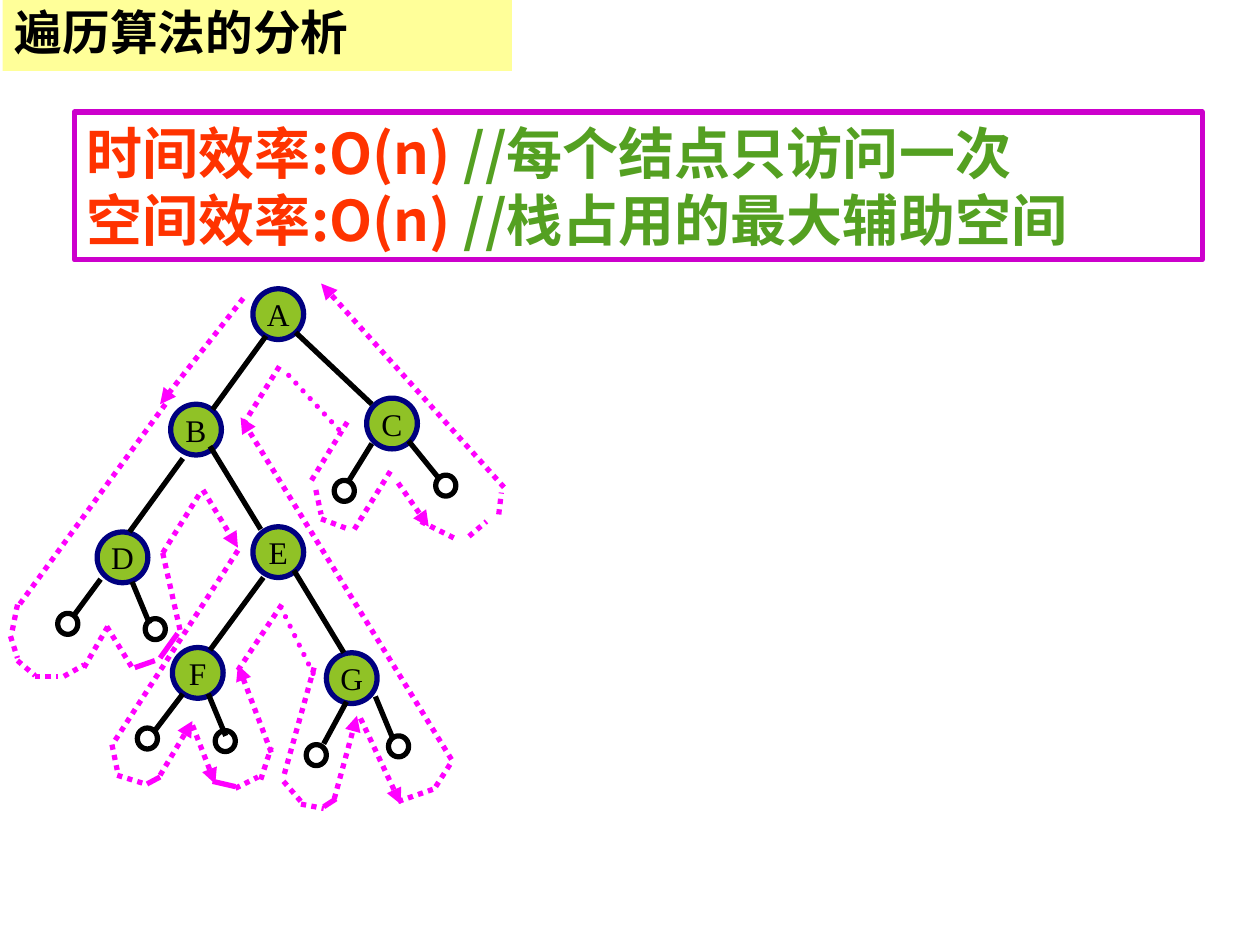
import lxml.etree
import pptx
import pptx.dml.color
import pptx.enum.dml
import pptx.enum.shapes
import pptx.enum.text
import pptx.oxml.ns
import pptx.util

Pt = pptx.util.Pt
qn = pptx.oxml.ns.qn
SHAPE = pptx.enum.shapes.MSO_SHAPE
ALIGN = pptx.enum.text.PP_ALIGN
ANCHOR = pptx.enum.text.MSO_ANCHOR

SANS = "Noto Sans CJK SC"
SERIF = "Times New Roman"
BLACK, NAVY, GREEN, PINK = "000000", "000080", "90C226", "FF00FF"
WIDTH = 3
NODE = (29, 29)
LEAF = (11.5, 12)

NODES = {
    "A": (144.5, 165), "B": (97.5, 231), "C": (209.5, 227.5),
    "D": (55.5, 304), "E": (144.5, 301), "F": (98.5, 370),
    "G": (186.5, 373),
}
LEAVES = [
    (33, 350.5), (83, 353.5), (78.5, 416), (123, 417.5),
    (175, 425.5), (222, 420.5), (191, 274.5), (249, 271.5),
]
# Each line is x1, y1, x2, y2.
EDGES = [
    (152, 192, 121.5, 234), (169, 190, 212.5, 231),
    (104.5, 262, 74, 304), (120, 255, 149, 302.5),
    (150.5, 330, 120, 371.5), (168, 326, 196.5, 373),
    (212.5, 253.5, 199.5, 274.5), (233.5, 252, 250.5, 273),
    (57.5, 331, 42, 352), (75.5, 332.5, 85.5, 356.5),
    (104.5, 396.5, 88.5, 417.5), (119, 396.5, 129, 420.5),
    (198, 401, 185, 425), (214.5, 398, 224.5, 422),
]
# The walk around the tree, grouped by line style.
SOLID = [
    (77, 381.5, 88.5, 377.5), (91.5, 376, 101.5, 362),
    (84, 448, 91.5, 444), (121.5, 446.5, 134.5, 449.5),
    (185, 461, 192, 456.5),
]
ROUND = [(160.5, 347, 179.5, 386), (165, 214.5, 195, 247)]
ARROWS = [
    (139, 170.5, 91.5, 231), (116, 280, 136, 313),
    (91.5, 443, 110, 412), (110, 414.5, 123, 448),
    (155, 430, 136, 380), (191, 456.5, 204, 409),
    (206, 410.5, 229, 459.5), (258, 434, 137.5, 238.5),
    (227.5, 276, 245, 301), (288, 278.5, 183.5, 162),
]
DOTS = [
    (94.5, 231, 10, 347), (10, 345.5, 7, 360.5),
    (6, 363.5, 10, 376), (10, 377.5, 20, 386),
    (20, 386.5, 33, 386.5), (36.5, 386.5, 48, 380),
    (48, 381.5, 62.5, 356.5), (61, 358, 75.5, 381.5),
    (93, 316, 103, 360.5), (93, 316, 114.5, 281.5),
    (136, 314.5, 65.5, 423.5), (64, 425.5, 67, 440),
    (67, 443, 83, 448), (134.5, 450.5, 147.5, 444),
    (149, 445.5, 155, 427), (136, 383, 162, 344),
    (179.5, 381.5, 162, 444), (162, 446.5, 172, 458),
    (172, 459.5, 185, 462), (227.5, 458, 249, 450.5),
    (249, 449.5, 258, 435.5), (139, 242.5, 160.5, 208),
    (178, 274.5, 199.5, 239.5), (180.5, 280, 183.5, 294),
    (183.5, 296.5, 199.5, 302.5), (202.5, 302.5, 224.5, 267),
    (240.5, 298, 260.5, 308), (268, 306.5, 278, 298),
    (285, 294, 286.5, 281.5),
]


def tint(hue):
    return pptx.dml.color.RGBColor.from_string(hue)


def shape(slide, kind, spot, size, fill=None, edge=None):
    item = slide.shapes.add_shape(kind, *map(Pt, spot + size))
    item.shadow.inherit = False
    if fill:
        item.fill.solid()
        item.fill.fore_color.rgb = tint(fill)
    else:
        item.fill.background()
    if edge:
        item.line.color.rgb = tint(edge)
        item.line.width = Pt(WIDTH)
    else:
        item.line.fill.background()
    return item


def style(para, face, size, hue=None, bold=False):
    """Set a paragraph's font for Latin and East Asian letters."""
    font = para.font
    font.name, font.size, font.bold = face, Pt(size), bold
    if hue:
        font.color.rgb = tint(hue)
    lxml.etree.SubElement(font._element, qn("a:ea"), typeface=face)


def node(slide, name, spot):
    frame = shape(slide, SHAPE.OVAL, spot, NODE, GREEN, NAVY).text_frame
    frame.word_wrap = False
    frame.vertical_anchor = ANCHOR.MIDDLE
    para = frame.paragraphs[0]
    para.text = name
    para.alignment = ALIGN.CENTER
    style(para, SERIF, 18, BLACK)


def line(slide, ends, hue, dots=False, arrow=False, cap=None):
    wire = slide.shapes.add_connector(
        pptx.enum.shapes.MSO_CONNECTOR.STRAIGHT, *map(Pt, ends))
    wire.line.color.rgb = tint(hue)
    wire.line.width = Pt(WIDTH)
    if dots:
        wire.line.dash_style = pptx.enum.dml.MSO_LINE.ROUND_DOT
    props = wire._element.spPr
    stroke = props.find(qn("a:ln"))
    if cap:
        stroke.set("cap", cap)
    if arrow:
        lxml.etree.SubElement(stroke, qn("a:tailEnd"), type="triangle")
    lxml.etree.SubElement(props, qn("a:effectLst"))


def tree(slide):
    for name, spot in NODES.items():
        node(slide, name, spot)
    for ends in EDGES:
        line(slide, ends, BLACK)
    for spot in LEAVES:
        shape(slide, SHAPE.OVAL, spot, LEAF, edge=BLACK)


def walk(slide):
    for ends in SOLID:
        line(slide, ends, PINK)
    for ends in ROUND:
        line(slide, ends, PINK, dots=True, cap="rnd")
    for ends in DOTS:
        line(slide, ends, PINK, dots=True)
    for ends in ARROWS:
        line(slide, ends, PINK, dots=True, arrow=True)


def costs(slide):
    box = shape(slide, SHAPE.RECTANGLE, (42.5, 64), (644.5, 84.5),
                edge="CC00CC")
    frame = box.text_frame
    frame.word_wrap = True
    frame.vertical_anchor = ANCHOR.TOP
    rows = [("时间效率:O(n) ", "//每个结点只访问一次"),
            ("空间效率:O(n) ", "//栈占用的最大辅助空间")]
    for i, row in enumerate(rows):
        para = frame.add_paragraph() if i else frame.paragraphs[0]
        para.alignment = ALIGN.LEFT
        style(para, SANS, 32, bold=True)
        for text, hue in zip(row, ("FF3300", "54A021")):
            run = para.add_run()
            run.text = text
            run.font.color.rgb = tint(hue)


def title(slide):
    box = shape(slide, SHAPE.RECTANGLE, (1.5, 0), (291, 40.5), "FFFF99")
    frame = box.text_frame
    frame.word_wrap = True
    frame.vertical_anchor = ANCHOR.MIDDLE
    para = frame.paragraphs[0]
    para.text = "遍历算法的分析"
    para.alignment = ALIGN.LEFT
    para.line_spacing = 0.9
    style(para, SANS, 27.2, BLACK, bold=True)


def main():
    deck = pptx.Presentation()
    deck.slide_width, deck.slide_height = Pt(720), Pt(540)
    slide = deck.slides.add_slide(deck.slide_layouts[6])
    tree(slide)
    walk(slide)
    costs(slide)
    title(slide)
    deck.save("out.pptx")


if __name__ == "__main__":
    main()
